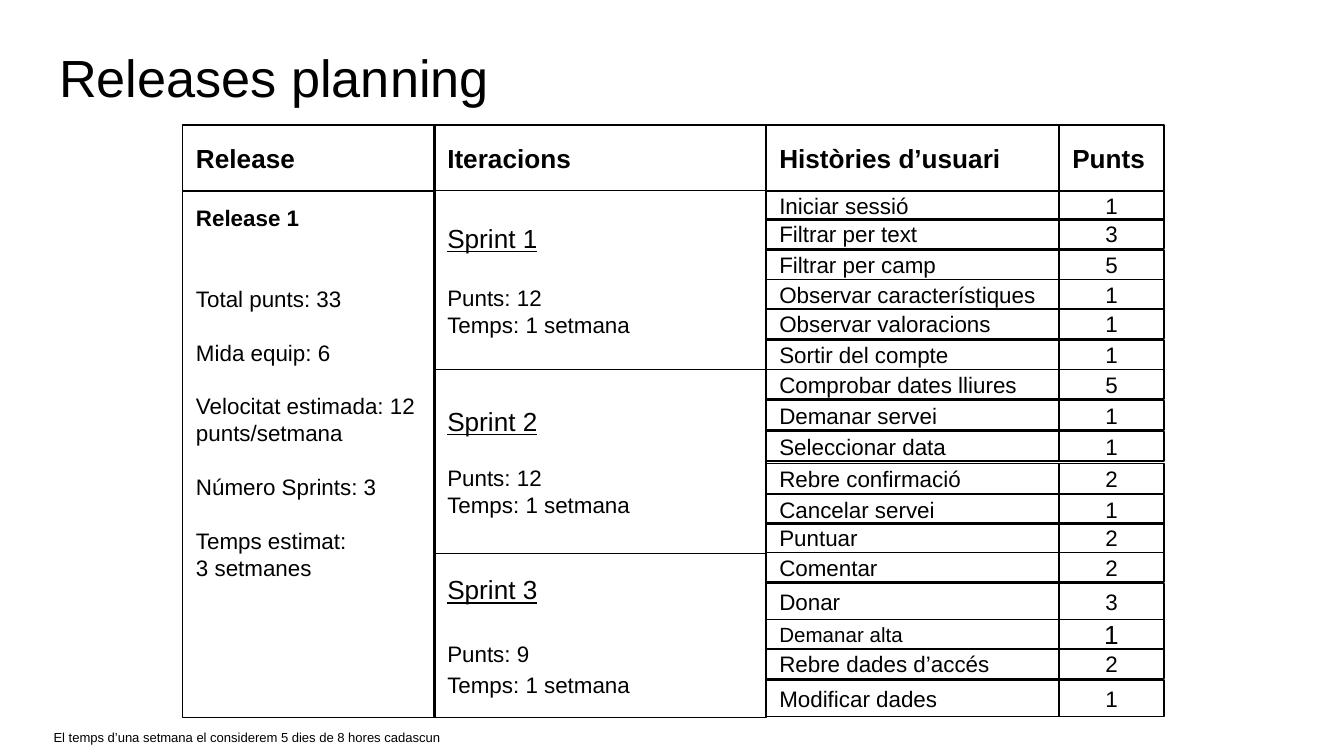
"""Build the releases planning slide: releases, sprints and user stories."""
from pptx import Presentation
from pptx.dml.color import RGBColor
from pptx.enum.shapes import MSO_SHAPE as SHAPE
from pptx.enum.text import MSO_ANCHOR as ANCHOR, MSO_AUTO_SIZE as AUTOSIZE, PP_ALIGN as ALIGN
from pptx.util import Inches, Pt

COLORS = {"ink": "000000"}
FONT = "Arial"

COLUMNS = {
    "Release": (1.36, 1.88),
    "Iteracions": (3.23, 2.47),
    "Històries d’usuari": (5.7, 2.18),
    "Punts": (7.88, 0.78),
}
HEAD_TOP, HEAD_H = 0.93, 0.49
BODY_TOP, BODY_H = 1.42, 3.92
ROW_H, TALL_ROW_H = 0.22, 0.27

RELEASE = [
    ("Release 1", 0),
    ("Total punts: 33", 28.8),
    ("Mida equip: 6", 14.4),
    ("Velocitat estimada: 12", 14.4),
    ("punts/setmana", 0),
    ("Número Sprints: 3", 14.4),
    ("Temps estimat:", 14.4),
    ("3 setmanes", 0),
]
SPRINTS = [
    ("Sprint 1", 12, 1.42, 1.33, 16.5, 1),
    ("Sprint 2", 12, 2.75, 1.37, 14.4, 1),
    ("Sprint 3", 9, 4.12, 1.22, 16.5, 1.15),
]
STORIES = [
    ("Iniciar sessió", 1, 1.42),
    ("Filtrar per text", 3, 1.63),
    ("Filtrar per camp", 5, 1.86),
    ("Observar característiques", 1, 2.08),
    ("Observar valoracions", 1, 2.3),
    ("Sortir del compte", 1, 2.53),
    ("Comprobar dates lliures", 5, 2.75),
    ("Demanar servei", 1, 2.98),
    ("Seleccionar data", 1, 3.21),
    ("Rebre confirmació", 2, 3.45),
    ("Cancelar servei", 1, 3.68),
    ("Puntuar", 2, 3.89),
    ("Comentar", 2, 4.11),
    ("Donar", 3, 4.34),
    ("Demanar alta", 1, 4.61),
    ("Rebre dades d’accés", 2, 4.83),
    ("Modificar dades", 1, 5.06),
]
TALL_ROWS = {"Donar", "Modificar dades"}
SPECIAL_SIZES = {"Demanar alta": (11, 14)}


def color(name):
    return RGBColor.from_string(COLORS[name])


def write(sp, text, size, anchor=ANCHOR.TOP, align=ALIGN.LEFT, bold=False):
    tf = sp.text_frame
    tf.text = text
    tf.word_wrap = True
    tf.auto_size = AUTOSIZE.NONE
    tf.vertical_anchor = anchor
    tf.margin_left = tf.margin_right = tf.margin_top = tf.margin_bottom = Inches(0.1)
    for p in tf.paragraphs:
        p.alignment = align
        for r in p.runs:
            r.font.name = FONT
            r.font.size = Pt(size)
            r.font.bold = bold
            r.font.color.rgb = color("ink")
    return tf


def add_cell(s, column, top, height, text, size, anchor=ANCHOR.MIDDLE, **style):
    left, width = COLUMNS[column]
    sp = s.shapes.add_shape(SHAPE.RECTANGLE, Inches(left), Inches(top),
                            Inches(width), Inches(height))
    sp.shadow.inherit = False
    sp.fill.background()
    sp.line.color.rgb = color("ink")
    sp.line.width = Pt(0.75)
    return write(sp, text, size, anchor, **style)


def add_title(s):
    sp = s.shapes.title
    sp.left, sp.top, sp.width, sp.height = (Inches(v) for v in (0.34, 0.24, 9.32, 0.63))
    write(sp, "Releases planning", 28)


def add_release(s):
    text = "\n".join(line for line, _ in RELEASE)
    tf = add_cell(s, "Release", BODY_TOP, BODY_H, text, 12, ANCHOR.TOP)
    for p, (_, gap) in zip(tf.paragraphs, RELEASE):
        p.space_before = Pt(gap)
    tf.paragraphs[0].runs[0].font.bold = True


def add_sprint(s, name, points, top, height, gap, spacing):
    text = f"{name}\nPunts: {points}\nTemps: 1 setmana"
    tf = add_cell(s, "Iteracions", top, height, text, 12)
    heading, *details = tf.paragraphs
    heading.runs[0].font.size = Pt(14)
    heading.runs[0].font.underline = True
    details[0].space_before = Pt(gap)
    for p in details:
        p.line_spacing = float(spacing)


def add_story(s, name, points, top):
    height = TALL_ROW_H if name in TALL_ROWS else ROW_H
    name_size, points_size = SPECIAL_SIZES.get(name, (12, 12))
    add_cell(s, "Històries d’usuari", top, height, name, name_size)
    add_cell(s, "Punts", top, height, str(points), points_size, align=ALIGN.CENTER)


def add_footnote(s):
    sp = s.shapes.add_textbox(Inches(0.3), Inches(5.34), Inches(4.35), Inches(0.18))
    write(sp, "El temps d’una setmana el considerem 5 dies de 8 hores cadascun", 7)


def main():
    prs = Presentation()
    prs.slide_width = Inches(10)
    prs.slide_height = prs.slide_width * 9 // 16
    s = prs.slides.add_slide(prs.slide_layouts[5])
    add_title(s)
    for column in COLUMNS:
        add_cell(s, column, HEAD_TOP, HEAD_H, column, 14, bold=True)
    add_release(s)
    for sprint in SPRINTS:
        add_sprint(s, *sprint)
    for story in STORIES:
        add_story(s, *story)
    add_footnote(s)
    prs.save("out.pptx")


if __name__ == "__main__":
    main()
